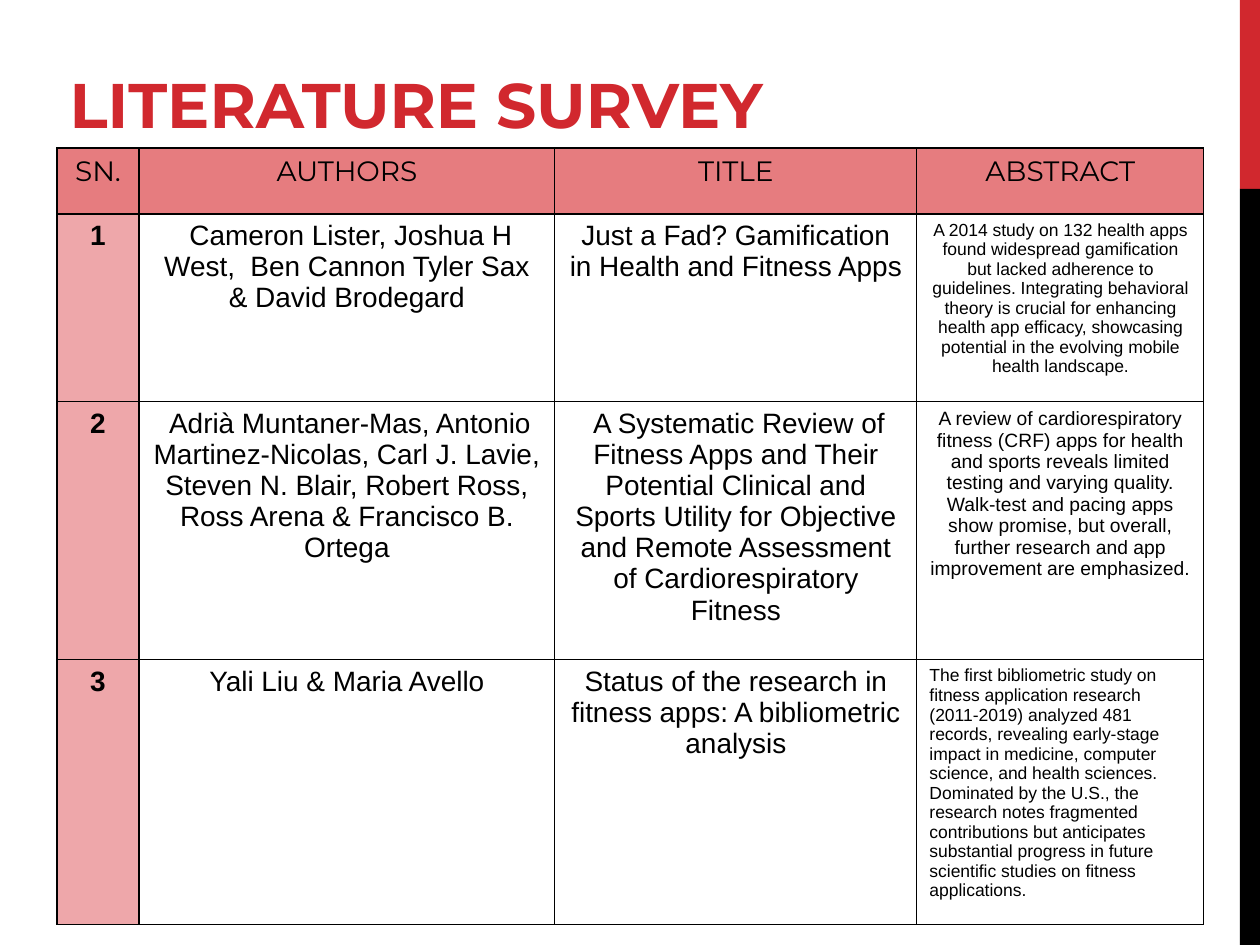
import dataclasses

import lxml.etree
import pptx
import pptx.dml.color
import pptx.enum.shapes
import pptx.enum.text
import pptx.oxml.ns
import pptx.util

PX = 914400 // 126
ALIGN = pptx.enum.text.PP_ALIGN


@dataclasses.dataclass(frozen=True)
class Theme:
    red: str = "D1282E"
    black: str = "000000"
    header_fill: str = "E67C7F"
    number_fill: str = "EEA7AA"
    heading_font: str = "Montserrat"
    body_font: str = "Arial"
    title_size: int = 36
    body_size: int = 16
    border: float = 0.75


THEME = Theme()
COLUMN_WIDTHS = (82, 416, 362, 287)
ROW_HEIGHTS = (66, 188, 258, 265)
HEADINGS = ("SN.", "AUTHORS", "TITLE", "ABSTRACT")
PAPERS = (
    ("1", " Cameron Lister, Joshua H West,  Ben Cannon Tyler Sax & David Brodegard",
     "Just a Fad? Gamification in Health and Fitness Apps",
     "A 2014 study on 132 health apps found widespread gamification but lacked "
     "adherence to guidelines. Integrating behavioral theory is crucial for "
     "enhancing health app efficacy, showcasing potential in the evolving mobile "
     "health landscape."),
    ("2", " Adrià Muntaner-Mas, Antonio Martinez-Nicolas, Carl J. Lavie, "
     "Steven N. Blair, Robert Ross, Ross Arena & Francisco B. Ortega",
     " A Systematic Review of Fitness Apps and Their Potential Clinical and Sports "
     "Utility for Objective and Remote Assessment of Cardiorespiratory Fitness",
     "A review of cardiorespiratory fitness (CRF) apps for health and sports "
     "reveals limited testing and varying quality. Walk-test and pacing apps show "
     "promise, but overall, further research and app improvement are emphasized."),
    ("3", "Yali Liu & Maria Avello",
     "Status of the research in fitness apps: A bibliometric analysis",
     "The first bibliometric study on fitness application research (2011-2019) "
     "analyzed 481 records, revealing early-stage impact in medicine, computer "
     "science, and health sciences. Dominated by the U.S., the research notes "
     "fragmented contributions but anticipates substantial progress in future "
     "scientific studies on fitness applications."),
)
ABSTRACT_STYLES = ((10, ALIGN.CENTER), (11, ALIGN.CENTER), (10, ALIGN.LEFT))


def rgb(color):
    return pptx.dml.color.RGBColor.from_string(color)


def style(paragraph, font, size, color, bold=False, align=ALIGN.LEFT):
    paragraph.alignment = align
    paragraph.font.name = font
    paragraph.font.size = pptx.util.Pt(size)
    paragraph.font.bold = bold
    paragraph.font.color.rgb = rgb(color)


def add_side_band(slide, left, top, width, height):
    red_height = height // 5
    segments = ((top, red_height, THEME.red),
                (top + red_height, height - red_height, THEME.black))
    for segment_top, segment_height, color in segments:
        segment = slide.shapes.add_shape(
            pptx.enum.shapes.MSO_SHAPE.RECTANGLE,
            left * PX, segment_top * PX, width * PX, segment_height * PX)
        segment.shadow.inherit = False
        segment.fill.solid()
        segment.fill.fore_color.rgb = rgb(color)
        segment.line.fill.background()


def place_title(slide, left, top, width, height):
    title = slide.shapes.title
    title.left, title.top = left * PX, top * PX
    title.width, title.height = width * PX, height * PX
    title.text = "LITERATURE SURVEY"
    title.text_frame.vertical_anchor = pptx.enum.text.MSO_ANCHOR.TOP
    style(title.text_frame.paragraphs[0], THEME.heading_font, THEME.title_size,
          THEME.red, bold=True)


def add_borders(cell):
    properties = cell._tc.get_or_add_tcPr()
    qn = pptx.oxml.ns.qn
    for index, side in enumerate(("a:lnL", "a:lnR", "a:lnT", "a:lnB")):
        border = lxml.etree.Element(qn(side), w=str(pptx.util.Pt(THEME.border)))
        fill = lxml.etree.SubElement(border, qn("a:solidFill"))
        lxml.etree.SubElement(fill, qn("a:srgbClr"), val=THEME.black)
        properties.insert(index, border)


def fill_cell(cell, text, font, size, bold=False, align=ALIGN.CENTER, fill=None):
    cell.text = text
    style(cell.text_frame.paragraphs[0], font, size, THEME.black, bold, align)
    if fill:
        cell.fill.solid()
        cell.fill.fore_color.rgb = rgb(fill)
    else:
        cell.fill.background()
    add_borders(cell)


def add_survey_table(slide, left, top, width, height):
    survey = slide.shapes.add_table(
        len(ROW_HEIGHTS), len(COLUMN_WIDTHS),
        left * PX, top * PX, width * PX, height * PX).table
    survey.horz_banding = False
    for column, column_width in zip(survey.columns, COLUMN_WIDTHS):
        column.width = column_width * PX
    for row, row_height in zip(survey.rows, ROW_HEIGHTS):
        row.height = row_height * PX
    for column, heading in enumerate(HEADINGS):
        fill_cell(survey.cell(0, column), heading, THEME.heading_font,
                  THEME.body_size, fill=THEME.header_fill)
    for row, (paper, abstract_style) in enumerate(zip(PAPERS, ABSTRACT_STYLES), 1):
        number, authors, title, abstract = paper
        abstract_size, abstract_align = abstract_style
        fill_cell(survey.cell(row, 0), number, THEME.body_font, THEME.body_size,
                  bold=True, fill=THEME.number_fill)
        for column, text in enumerate((authors, title), 1):
            fill_cell(survey.cell(row, column), text, THEME.body_font, THEME.body_size)
        fill_cell(survey.cell(row, 3), abstract, THEME.body_font, abstract_size,
                  align=abstract_align)


def main():
    presentation = pptx.Presentation()
    presentation.slide_width = pptx.util.Inches(10)
    presentation.slide_height = pptx.util.Inches(7.5)
    slide = presentation.slides.add_slide(presentation.slide_layouts[5])
    add_side_band(slide, 1240, 0, 20, 945)
    place_title(slide, 57, 59, 1147, 89)
    add_survey_table(slide, 57, 148, sum(COLUMN_WIDTHS), sum(ROW_HEIGHTS))
    presentation.save("out.pptx")


if __name__ == "__main__":
    main()
